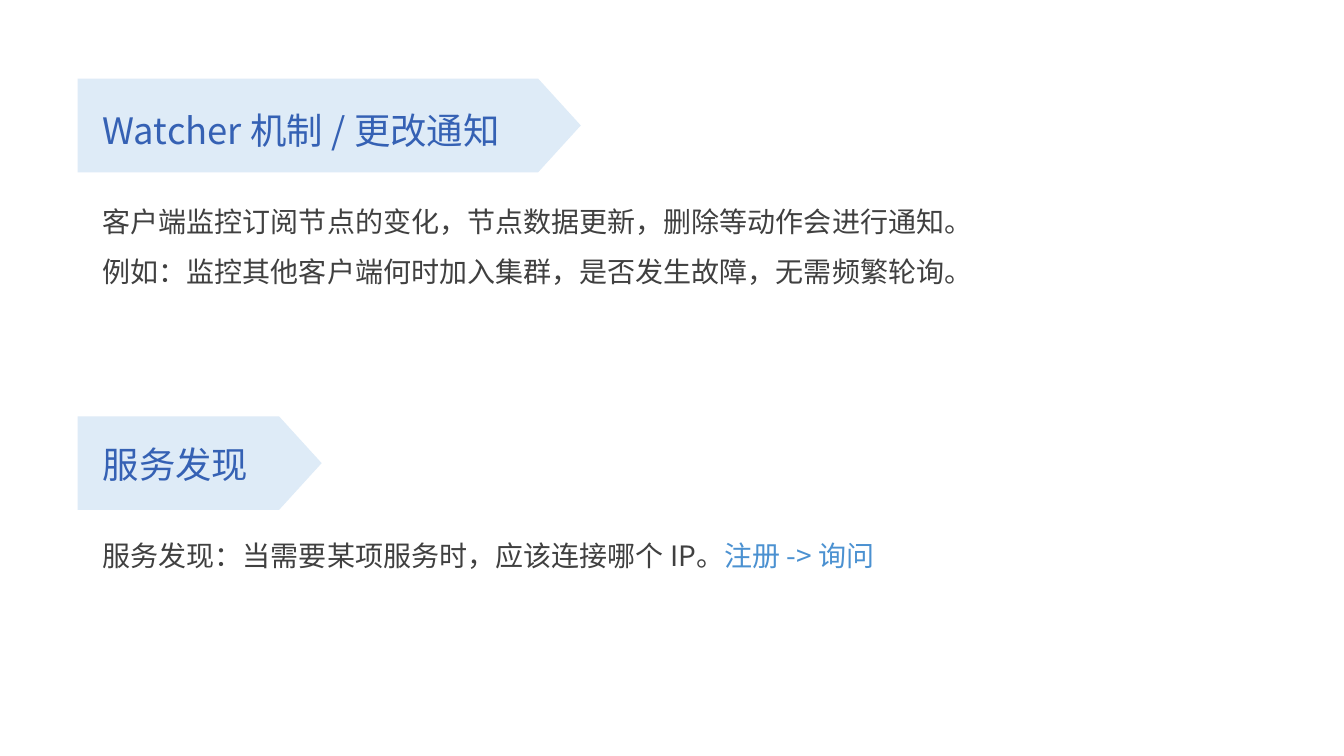
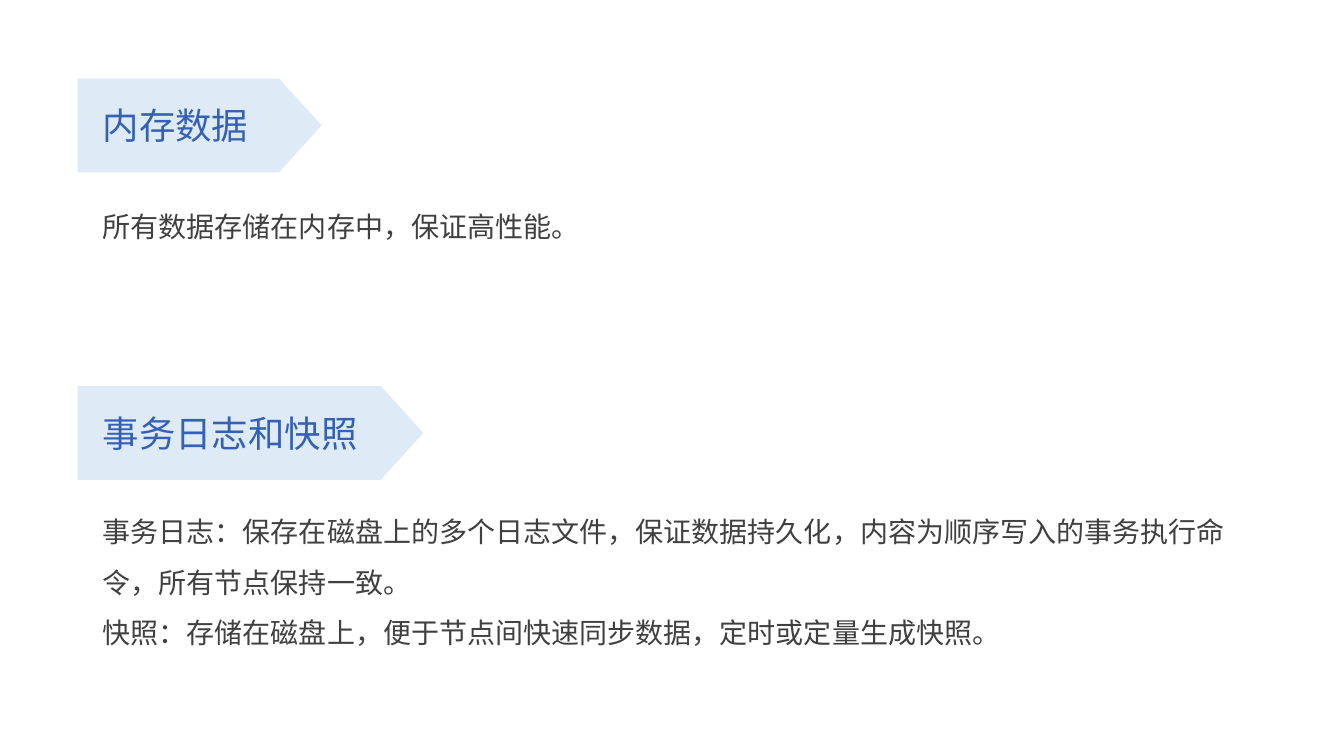
from dataclasses import dataclass

import pptx
import pptx.dml.color
import pptx.enum.shapes
import pptx.enum.text
import pptx.oxml
import pptx.oxml.ns
import pptx.util

Inches = pptx.util.Inches
RGB = pptx.dml.color.RGBColor.from_string


@dataclass(frozen=True)
class Theme:
    font: str = "Noto Sans CJK SC"
    banner: str = "DEEBF7"
    heading: str = "3561B4"
    body: str = "404040"
    accent: str = "4B91D1"
    heading_size: int = 26
    body_size: int = 20
    width: float = 13.33
    height: float = 7.5
    margin: float = 0.77
    indent: float = 0.15
    banner_height: float = 0.93
    point: float = 0.455
    heading_height: float = 0.54
    body_width: float = 11.57


THEME = Theme()


@dataclass(frozen=True)
class Section:
    """Tops of heading and body are measured from the top of the banner."""
    heading: str
    top: float
    banner_width: float
    heading_width: float
    heading_drop: float
    body: tuple
    body_drop: float
    body_height: float
    line_spacing: float = 1.5


SLIDES = [
    [
        Section("Watcher 机制 / 更改通知", 0.78, 4.99, 5.37, 0.24,
                ([("客户端监控订阅节点的变化，节点数据更新，删除等动作会进行通知。", THEME.body)],
                 [("例如：监控其他客户端何时加入集群，是否发生故障，无需频繁轮询。", THEME.body)]),
                1.03, 1.11),
        Section("服务发现", 4.13, 2.42, 3.64, 0.21,
                ([("服务发现：当需要某项服务时，应该连接哪个 IP。", THEME.body),
                  ("注册 -> 询问", THEME.accent)],),
                1.16, 0.44, 1.0),
    ],
    [
        Section("内存数据", 0.78, 2.42, 10.47, 0.19,
                ([("所有数据存储在内存中，保证高性能。", THEME.body)],),
                1.08, 0.55),
        Section("事务日志和快照", 3.83, 3.43, 10.47, 0.2,
                ([("事务日志：保存在磁盘上的多个日志文件，保证数据持久化，"
                   "内容为顺序写入的事务执行命令，所有节点保持一致。", THEME.body)],
                 [("快照：存储在磁盘上，便于节点间快速同步数据，定时或定量生成快照。", THEME.body)]),
                1.06, 1.62),
    ],
]


def add_banner(slide, left, top, width):
    banner = slide.shapes.add_shape(
        pptx.enum.shapes.MSO_SHAPE.PENTAGON, Inches(left), Inches(top),
        Inches(width), Inches(THEME.banner_height))
    banner.adjustments[0] = THEME.point
    banner.shadow.inherit = False
    banner.fill.solid()
    banner.fill.fore_color.rgb = RGB(THEME.banner)
    banner.line.fill.background()


def add_text(slide, box, paragraphs, size, line_spacing=1.0):
    """Place paragraphs, each a list of (text, colour) runs, in box."""
    frame = slide.shapes.add_textbox(*map(Inches, box)).text_frame
    frame.word_wrap = True
    frame.auto_size = pptx.enum.text.MSO_AUTO_SIZE.SHAPE_TO_FIT_TEXT
    for index, runs in enumerate(paragraphs):
        paragraph = frame.add_paragraph() if index else frame.paragraphs[0]
        paragraph.line_spacing = line_spacing
        paragraph.font.size = pptx.util.Pt(size)
        paragraph.font.name = THEME.font
        for text, colour in runs:
            run = paragraph.add_run()
            run.text = text
            run.font.size = pptx.util.Pt(size)
            run.font.color.rgb = RGB(colour)
            run.font.name = THEME.font
            east_asian = pptx.oxml.parse_xml(
                f'<a:ea {pptx.oxml.ns.nsdecls("a")} typeface="{THEME.font}"/>')
            run.font._element.append(east_asian)


def add_section(slide, section):
    text_left = THEME.margin + THEME.indent
    add_banner(slide, THEME.margin, section.top, section.banner_width)
    add_text(slide,
             (text_left, section.top + section.heading_drop,
              section.heading_width, THEME.heading_height),
             [[(section.heading, THEME.heading)]], THEME.heading_size)
    add_text(slide,
             (text_left, section.top + section.body_drop,
              THEME.body_width, section.body_height),
             section.body, THEME.body_size, section.line_spacing)


def main():
    deck = pptx.Presentation()
    deck.slide_width = Inches(THEME.width)
    deck.slide_height = Inches(THEME.height)
    for sections in SLIDES:
        slide = deck.slides.add_slide(deck.slide_layouts[6])
        for section in sections:
            add_section(slide, section)
    deck.save("out.pptx")


if __name__ == "__main__":
    main()
